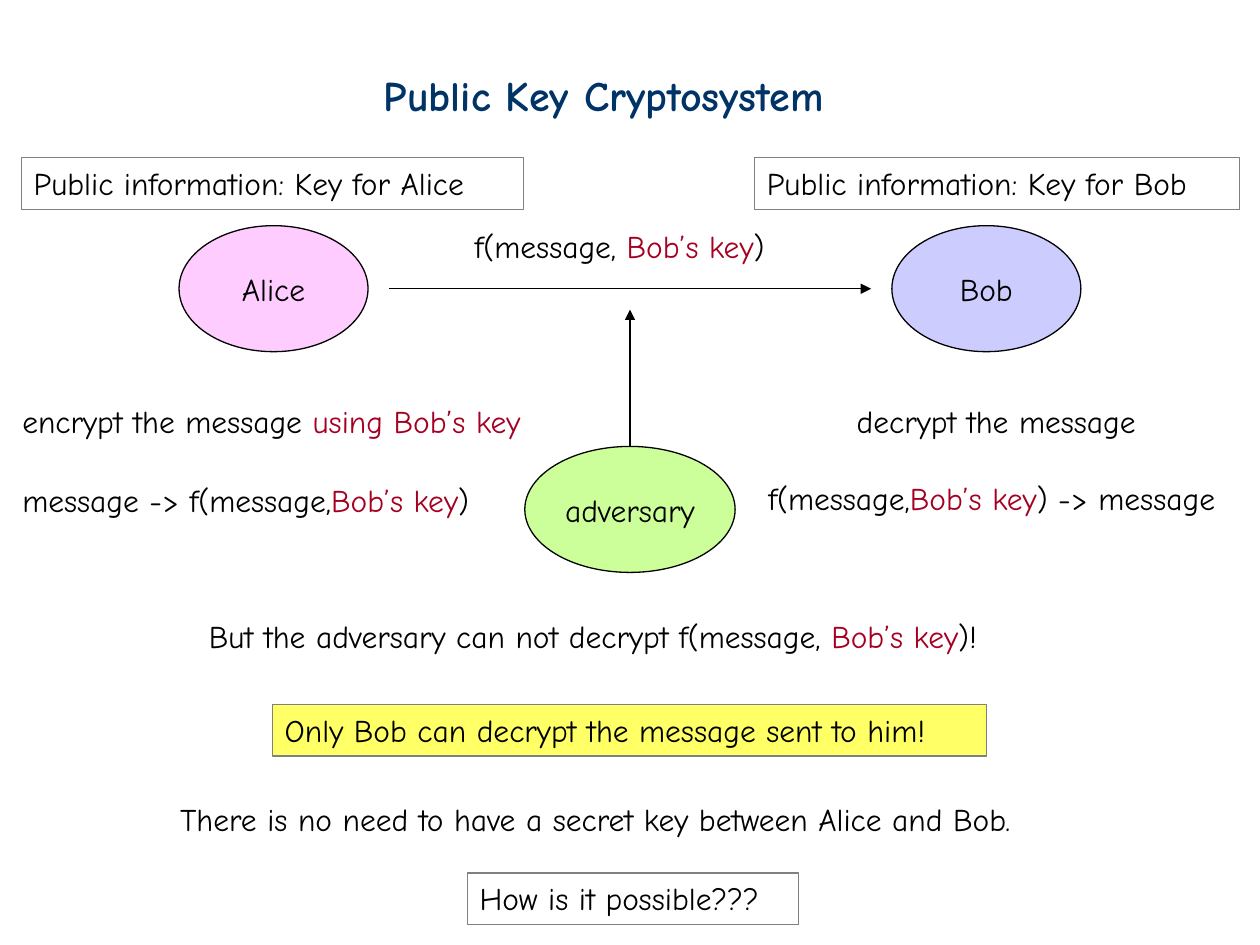
from dataclasses import dataclass

from lxml.etree import SubElement
from pptx import Presentation
from pptx.dml.color import RGBColor
from pptx.enum.shapes import MSO_CONNECTOR as Connector, MSO_SHAPE as Preset
from pptx.enum.text import MSO_ANCHOR as Anchor, PP_ALIGN as Align
from pptx.oxml.ns import qn
from pptx.util import Cm, Pt


@dataclass(frozen=True)
class Theme:
    font: str = "Comic Neue"
    title_size: int = 24
    body_size: int = 18
    title: str = "003366"
    text: str = "000000"
    key: str = "A50021"
    outline: str = "000000"
    frame: str = "808080"
    alice: str = "FFCCFF"
    bob: str = "CCCCFF"
    adversary: str = "CCFF99"
    highlight: str = "FFFF66"
    line_width: float = 0.75


THEME = Theme()

# All lengths are in centimetres.
SLIDE_WIDTH, SLIDE_HEIGHT = 25.4, 19.05
TEXT_HEIGHT, FRAME_HEIGHT = 1.02, 1.04
PARTY_HEIGHT = 2.54
ARROW_GAP = 0.42

TITLE = ("Public Key Cryptosystem", 7.49, 1.27, 10.52, 1.27)

# name: left, top, width, fill
PARTIES = {
    "Alice": (3.61, 4.55, 3.81, THEME.alice),
    "Bob": (17.98, 4.55, 3.81, THEME.bob),
    "adversary": (10.58, 9, 4.24, THEME.adversary),
}

# left, top, width, pieces (every second piece is in the key colour)
LABELS = [
    (9.32, 4.45, 6.88, ["f(message, ", "Bob’s key", ")"]),
    (0.2, 7.98, 11.25, ["encrypt the message ", "using Bob’s key"]),
    (0.2, 9.58, 10.06, ["message -> f(message,", "Bob’s key", ")"]),
    (17.02, 7.98, 6.71, ["decrypt the message"]),
    (15.24, 9.53, 10.06, ["f(message,", "Bob’s key", ") -> message"]),
    (3.96, 12.32, 17.42,
     ["But the adversary can not decrypt f(message, ", "Bob’s key", ")!"]),
    (3.38, 16, 18.69,
     ["There is no need to have a secret key between Alice and Bob."]),
]

# left, top, width, text, fill
FRAMES = [
    (0.43, 3.18, 10.13, "Public information: Key for Alice", None),
    (15.21, 3.18, 9.78, "Public information: Key for Bob", None),
    (5.49, 14.2, 14.4, "Only Bob can decrypt the message sent to him!",
     THEME.highlight),
    (9.42, 17.6, 6.68, "How is it possible???", None),
]


def rgb(colour):
    return RGBColor.from_string(colour)


def write(shape, pieces, size=THEME.body_size, colour=THEME.text, bold=False,
          align=Align.LEFT, anchor=Anchor.TOP, wrap=True):
    """Write pieces as runs, alternating the given colour and the key colour."""
    frame = shape.text_frame
    frame.word_wrap = wrap
    frame.vertical_anchor = anchor
    paragraph = frame.paragraphs[0]
    paragraph.alignment = align
    for index, piece in enumerate(pieces):
        run = paragraph.add_run()
        run.text = piece
        run.font.name = THEME.font
        run.font.size = Pt(size)
        run.font.bold = bold
        run.font.color.rgb = rgb(THEME.key if index % 2 else colour)


def add_label(slide, pieces, left, top, width, height=TEXT_HEIGHT, **style):
    box = slide.shapes.add_textbox(Cm(left), Cm(top), Cm(width), Cm(height))
    write(box, pieces, **style)


def add_outlined(slide, preset, text, place, fill, line, **style):
    shape = slide.shapes.add_shape(preset, *map(Cm, place))
    shape.shadow.inherit = False
    if fill:
        shape.fill.solid()
        shape.fill.fore_color.rgb = rgb(fill)
    else:
        shape.fill.background()
    shape.line.color.rgb = rgb(line)
    shape.line.width = Pt(THEME.line_width)
    write(shape, [text], **style)
    return shape


def add_arrow(slide, start, end):
    arrow = slide.shapes.add_connector(Connector.STRAIGHT, *start, *end)
    arrow.line.color.rgb = rgb(THEME.outline)
    arrow.line.width = Pt(THEME.line_width)
    SubElement(arrow.line._get_or_add_ln(), qn("a:tailEnd"), type="triangle")
    SubElement(arrow._element.spPr, qn("a:effectLst"))
    return arrow


def add_message_arrows(slide, alice, bob, adversary):
    """Draw the channel from Alice to Bob and the adversary's tap on it."""
    gap = Cm(ARROW_GAP)
    channel = alice.top + alice.height // 2
    add_arrow(slide, (alice.left + alice.width + gap, channel),
              (bob.left - gap, channel))
    middle = adversary.left + adversary.width // 2
    tap = add_arrow(slide, (middle, adversary.top), (middle, channel + gap))
    tap.begin_connect(adversary, 0)


def main():
    presentation = Presentation()
    presentation.slide_width = Cm(SLIDE_WIDTH)
    presentation.slide_height = Cm(SLIDE_HEIGHT)
    slide = presentation.slides.add_slide(presentation.slide_layouts[6])

    title, *title_place = TITLE
    add_label(slide, [title], *title_place, size=THEME.title_size,
              colour=THEME.title, bold=True)

    parties = [
        add_outlined(slide, Preset.OVAL, name, (left, top, width, PARTY_HEIGHT),
                     fill, THEME.outline, align=Align.CENTER,
                     anchor=Anchor.MIDDLE, wrap=False)
        for name, (left, top, width, fill) in PARTIES.items()
    ]
    add_message_arrows(slide, *parties)

    for left, top, width, pieces in LABELS:
        add_label(slide, pieces, left, top, width)
    for left, top, width, text, fill in FRAMES:
        add_outlined(slide, Preset.RECTANGLE, text,
                     (left, top, width, FRAME_HEIGHT), fill, THEME.frame)

    presentation.save("out.pptx")


if __name__ == "__main__":
    main()
